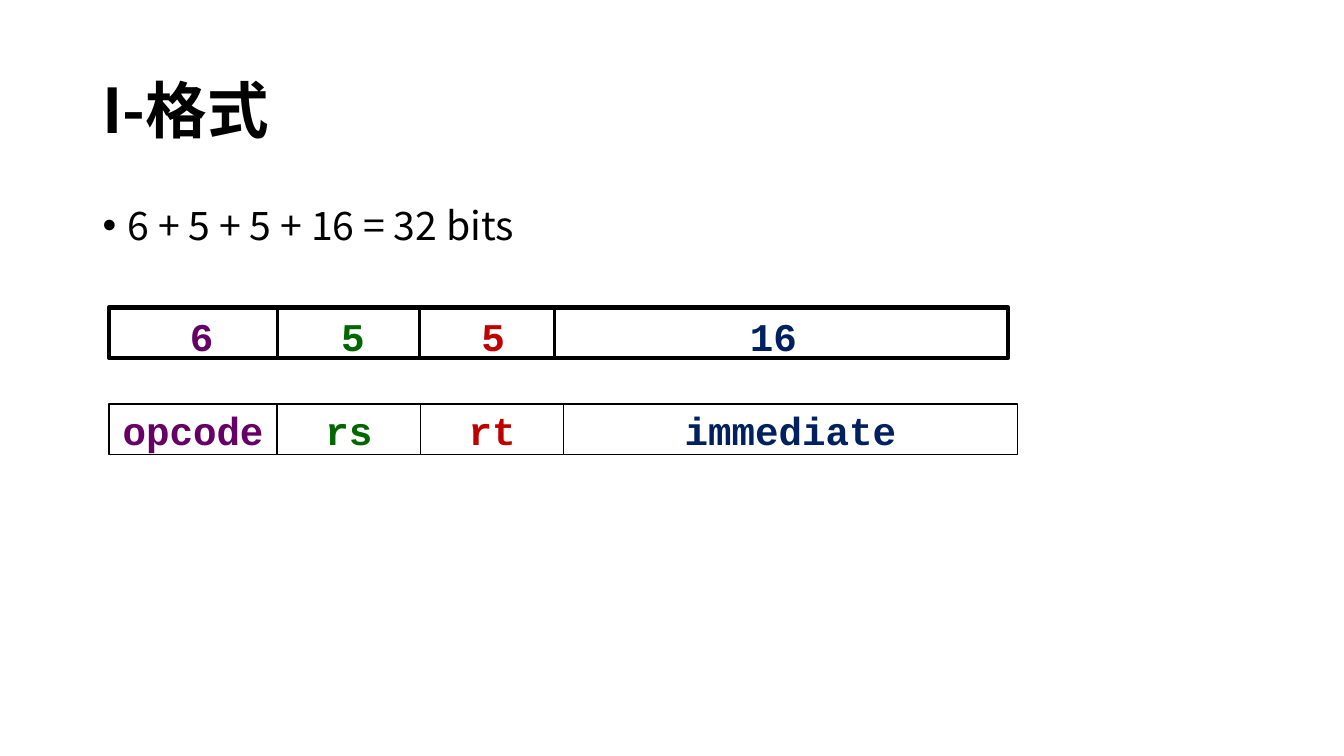
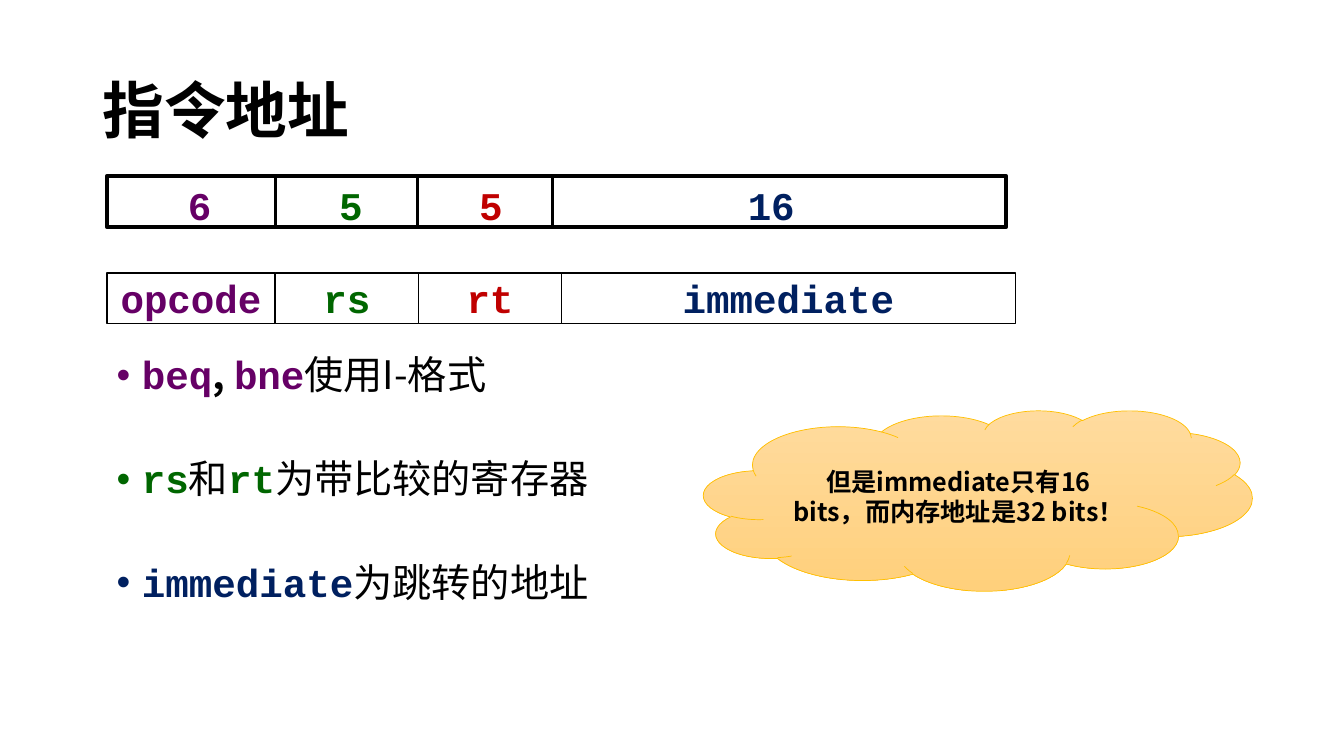
import pptx
import pptx.util
import pptx.dml.color
import pptx.enum.text
import pptx.enum.shapes
import pptx.oxml
import pptx.oxml.ns

Inches = pptx.util.Inches
Pt = pptx.util.Pt
Rgb = pptx.dml.color.RGBColor.from_string
Align = pptx.enum.text.PP_ALIGN
Anchor = pptx.enum.text.MSO_ANCHOR
Shape = pptx.enum.shapes.MSO_SHAPE
Link = pptx.enum.shapes.MSO_CONNECTOR

THEME = {
    "ink": "000000", "paper": "FFFFFF", "op": "660066", "rs": "006600",
    "rt": "C00000", "imm": "002060", "edge": "FFC000",
    "cloud": ("FFDB9E", "FFD07C"),
    "sans": "Noto Sans CJK SC", "mono": "Courier New",
    "title": 44, "body": 28, "note": 18,
    "frame": 3, "rule": 2.25, "cell": 1, "thin": 0.5,
}

FIELDS = [
    {"bits": "6", "name": "opcode", "hue": "op", "wide": 1.67, "mid": 0.92},
    {"bits": "5", "name": "rs", "hue": "rs", "wide": 1.42, "mid": 2.42},
    {"bits": "5", "name": "rt", "hue": "rt", "wide": 1.42, "mid": 3.81},
    {"bits": "16", "name": "immediate", "hue": "imm", "wide": 4.5, "mid": 6.59},
]
RULES = (1.67, 3.08, 4.42)
FRAME, HIGH, DROP = 8.92, 0.5, 0.96

SLIDES = [
    {
        "title": "I-格式",
        "body": {"at": (0.92, 2, 11.5, 0.66), "after": 0,
                 "items": [[("6 + 5 + 5 + 16 = 32 bits", "ink")]]},
        "grid": (1.08, 3.05),
    },
    {
        "title": "指令地址",
        "body": {"at": (1.06, 3.48, 11.5, 3.39), "after": 34, "items": [
            [("beq", "op"), (", ", "ink", True), ("bne", "op"), ("使用I-格式", "ink")],
            [("rs", "rs"), ("和", "ink"), ("rt", "rs"), ("为带比较的寄存器", "ink")],
            [("immediate", "imm"), ("为跳转的地址", "ink")],
        ]},
        "grid": (1.06, 1.75),
        "cloud": {"at": (6.98, 4.07, 5.44, 1.79),
                  "text": "但是immediate只有16 bits，而内存地址是32 bits！"},
    },
]


def apply(item, looks):
    for key, value in looks.items():
        setattr(item, key, value)


def write(para, text, hue, size, bold):
    face = THEME["sans" if hue == "ink" else "mono"]
    run = para.add_run()
    run.text = text
    apply(run.font, {"name": face, "size": Pt(THEME[size]), "bold": bold})
    run.font.color.rgb = Rgb(THEME[hue])
    east = pptx.oxml.parse_xml(
        f'<a:ea {pptx.oxml.ns.nsdecls("a")} typeface="{face}"/>')
    run.font._element.append(east)


def center(shape, text, hue, size, anchor=Anchor.MIDDLE, wrap=True):
    apply(shape.text_frame, {"word_wrap": wrap, "vertical_anchor": anchor})
    para = shape.text_frame.paragraphs[0]
    para.alignment = Align.CENTER
    write(para, text, hue, size, True)


def stroke(item, hue, width):
    item.line.color.rgb = Rgb(THEME[hue])
    item.line.width = Pt(THEME[width])


def add_box(shapes, at, anchor=Anchor.TOP):
    box = shapes.add_textbox(*map(Inches, at))
    apply(box.text_frame, {"word_wrap": True, "vertical_anchor": anchor})
    return box


def add_form(shapes, kind, at, hue, width):
    form = shapes.add_shape(kind, *map(Inches, at))
    form.shadow.inherit = False
    stroke(form, hue, width)
    return form


def add_title(slide, text):
    box = add_box(slide.shapes, (0.92, 0.4, 11.5, 1.45), Anchor.MIDDLE)
    para = box.text_frame.paragraphs[0]
    para.line_spacing = 0.9
    write(para, text, "ink", "title", True)


def add_body(slide, at, after, items):
    frame = add_box(slide.shapes, at).text_frame
    for index, parts in enumerate(items):
        para = frame.add_paragraph() if index else frame.paragraphs[0]
        apply(para, {"line_spacing": 0.9, "space_before": Pt(10),
                     "space_after": Pt(after)})
        props = para._p.get_or_add_pPr()
        props.set("marL", str(Inches(0.25)))
        props.set("indent", str(Inches(-0.25)))
        for tag, attr, value in (("buFont", "typeface", "Arial"),
                                 ("buChar", "char", "•")):
            props.append(pptx.oxml.parse_xml(
                f'<a:{tag} {pptx.oxml.ns.nsdecls("a")} {attr}="{value}"/>'))
        for text, hue, *bold in parts:
            write(para, text, hue, "body", bool(bold) or hue != "ink")


def add_bits(slide, left, top):
    shapes = slide.shapes.add_group_shape().shapes
    for field in FIELDS:
        wide = 0.19 + 0.24 * len(field["bits"])
        box = add_box(shapes, (left + field["mid"] - wide / 2, top, wide, 0.57))
        center(box, field["bits"], field["hue"], "body", Anchor.TOP, False)
    form = add_form(shapes, Shape.RECTANGLE, (left, top, FRAME, HIGH), "ink", "frame")
    form.fill.background()
    for step in RULES:
        ends = (left + step, top, left + step, top + HIGH)
        rule = shapes.add_connector(Link.STRAIGHT, *map(Inches, ends))
        stroke(rule, "ink", "rule")
        rule._element.spPr.append(pptx.oxml.parse_xml(
            f'<a:effectLst {pptx.oxml.ns.nsdecls("a")}/>'))


def add_names(slide, left, top):
    shapes = slide.shapes.add_group_shape().shapes
    for field in FIELDS:
        at = (left, top, field["wide"], HIGH)
        cell = add_form(shapes, Shape.RECTANGLE, at, "ink", "cell")
        cell.fill.solid()
        cell.fill.fore_color.rgb = Rgb(THEME["paper"])
        center(cell, field["name"], field["hue"], "body")
        left += field["wide"]


def add_cloud(slide, at, text):
    cloud = add_form(slide.shapes, Shape.CLOUD, at, "edge", "thin")
    cloud.fill.gradient()
    cloud.fill.gradient_angle = 270
    for stop, hue, place in zip(cloud.fill.gradient_stops, THEME["cloud"], (0, 1)):
        stop.color.rgb = Rgb(hue)
        stop.position = place
    center(cloud, text, "ink", "note")


def main():
    deck = pptx.Presentation()
    apply(deck, {"slide_width": Inches(13.33), "slide_height": Inches(7.5)})
    for page in SLIDES:
        slide = deck.slides.add_slide(deck.slide_layouts[6])
        left, top = page["grid"]
        add_title(slide, page["title"])
        add_body(slide, **page["body"])
        add_bits(slide, left, top)
        add_names(slide, left, top + DROP)
        if "cloud" in page:
            add_cloud(slide, **page["cloud"])
    deck.save("out.pptx")


if __name__ == "__main__":
    main()
